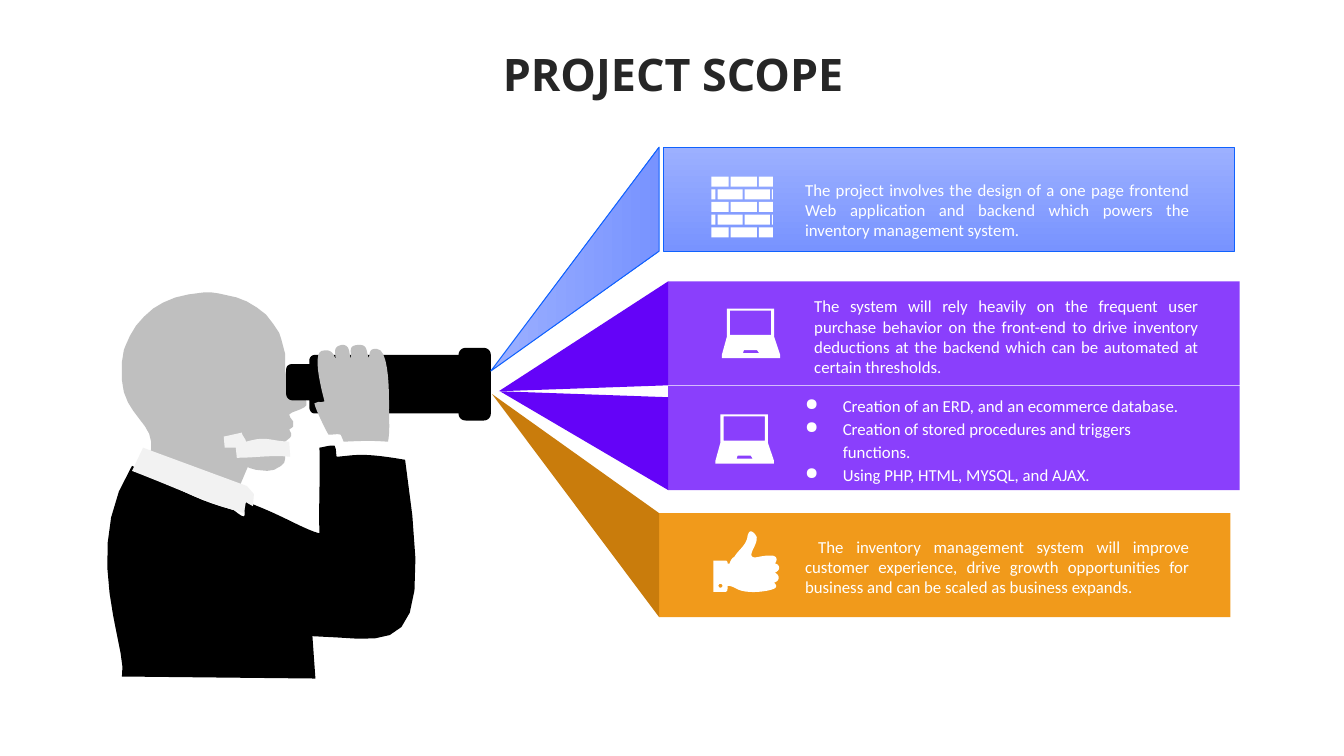
from dataclasses import dataclass

import pptx
import pptx.dml.color
import pptx.enum.shapes
import pptx.enum.text
import pptx.oxml
import pptx.oxml.ns
import pptx.util

Cm = pptx.util.Cm
Align = pptx.enum.text.PP_ALIGN
Anchor = pptx.enum.text.MSO_ANCHOR
GRID = Cm(0.0254)  # drawing unit of the icons and the figure


@dataclass(frozen=True)
class Theme:
    heading_font: str = "Open Sans"
    body_font: str = "Calibri"
    heading_size: int = 32
    body_size: int = 12
    ink: str = "262626"
    white: str = "FFFFFF"
    skin: str = "BFBFBF"
    suit: str = "000000"
    linen: str = "F2F2F2"
    blue: tuple = ("9CB0FF", "7893FF")
    blue_line: str = "0F62FE"
    violet: str = "8A3FFC"
    violet_dark: str = "6403F8"
    orange: str = "F19A1B"
    orange_dark: str = "C97C0C"


THEME = Theme()

# A point is (x, y); six numbers are two curve handles and an end point.
HEAD = [
    (110, 0), (117, 1), (135, 5), (145, 9), (155, 15), (164, 22), (171, 31), (177, 40),
    (179, 46), (183, 61), (183, 77), (184, 83), (188, 89), (192, 95), (197, 100), (203, 106),
    (204, 108), (204, 112), (202, 114), (198, 116), (190, 119), (187, 121), (188, 124),
    (191, 128), (191, 133), (190, 134), (187, 136), (189, 140), (189, 142), (188, 144),
    (183, 148), (182, 150), (182, 157), (183, 160), (183, 165), (182, 169), (179, 172),
    (172, 176), (165, 177), (154, 176), (147, 174), (146, 173), (137, 194), (127, 190),
    (48, 165), (48, 162), (50, 156), (50, 148), (48, 140), (44, 133), (38, 125), (32, 117),
    (27, 109), (23, 99), (21, 87), (21, 69), (22, 63), (23, 57), (25, 52), (29, 43), (35, 33),
    (43, 24), (52, 16), (62, 10), (74, 5), (87, 2), (102, 0)]
BINOCULARS = [
    (362, 55), (380, 55), (384, 55, 387, 58, 387, 62), (387, 120),
    (387, 124, 384, 127, 380, 127), (362, 127), (358, 127, 355, 124, 355, 120), (212, 120),
    (209, 120, 207, 117, 207, 114), (207, 107), (190, 107), (187, 107, 184, 104, 184, 101),
    (184, 76), (184, 73, 187, 71, 190, 71), (207, 71), (207, 67),
    (207, 65, 209, 62, 212, 62), (355, 62), (355, 58, 358, 55, 362, 55)]
COAT = [
    (31, 172), (-22, 255, 28, 356, 21, 381), (213, 383), (210, 341),
    (292, 343, 333, 373, 302, 166), (257, 158, 250, 162, 234, 163),
    (233, 156, 234, 157, 232, 152), (224, 152, 228, 152, 217, 154),
    (218, 183, 216, 210, 217, 239), (201, 235, 175, 218, 142, 207),
    (142, 221, 147, 228, 132, 216), (91, 205, 79, 195, 31, 172)]
COLLAR = [(31, 177), (42, 154), (145, 192), (152, 200), (151, 212), (144, 208), (142, 219),
          (101, 207, 68, 191, 31, 177)]
CUFF = [(123, 154), (122, 143), (140, 139), (140, 142, 144, 145, 144, 148),
        (166, 142, 165, 147, 187, 148), (188, 163), (170, 161, 153, 164, 135, 164), (134, 154)]
HAND = [
    (241, 148), (239, 143, 239, 143, 238, 141), (233, 140, 235, 141, 226, 141),
    (224, 138, 213, 116, 212, 110), (219, 107, 215, 110, 222, 108),
    (217, 89, 211, 61, 219, 58), (228, 56, 230, 59, 233, 66), (233, 59, 230, 54, 239, 52),
    (249, 51, 246, 65, 248, 65), (249, 58, 245, 53, 255, 52), (266, 51, 263, 60, 266, 65),
    (267, 61, 266, 55, 274, 56), (287, 56, 286, 106, 286, 116),
    (286, 128, 287, 137, 285, 148), (269, 147, 263, 147, 241, 148)]
LAPTOP = [
    [(22, 41), (21, 44), (37, 44), (35, 41)],
    [(8, 2), (8, 26), (49, 26), (49, 2)],
    [(5, 0), (52, 0), (52, 28), (58, 46), (58, 49), (0, 49), (0, 46), (5, 28)]]
THUMB = [
    [(7, 52), (6, 52, 5, 53, 5, 54), (5, 55, 6, 56, 7, 56), (8, 56, 9, 55, 9, 54),
     (9, 53, 8, 52, 7, 52)],
    [(37, 0), (39, 0, 42, 3, 43, 6), (44, 14, 32, 25, 41, 26), (47, 25, 50, 24, 57, 24),
     (63, 24, 64, 28, 61, 32), (65, 32, 68, 38, 61, 41), (68, 45, 64, 50, 60, 51),
     (63, 53, 63, 56, 60, 57), (53, 60, 35, 62, 25, 58), (21, 56, 18, 54, 14, 54), (14, 57),
     (14, 59, 13, 60, 12, 60), (0, 60), (0, 29), (12, 29), (13, 29, 14, 30, 14, 31), (14, 32),
     (16, 32), (17, 29, 18, 27, 21, 25), (25, 18, 33, 14, 34, 4), (35, 1, 36, 0, 37, 0)]]
BRICK_ROWS = [[(0, 17), (19, 45), (47, 61)], [(0, 4), (6, 31), (33, 58), (60, 61)]]
BRICKS = [[(left, top), (right, top), (right, top + 10), (left, top + 10)]
          for row, top in enumerate(12.6 * step for step in range(5))
          for left, right in BRICK_ROWS[row % 2]]


def color(value):
    return pptx.dml.color.RGBColor.from_string(value)


def paint(shape, fill, line=None, angle=0):
    """Fill with one colour, or with a pair as a gradient."""
    shape.shadow.inherit = False
    if isinstance(fill, tuple):
        shape.fill.gradient()
        shape.fill.gradient_angle = angle
        for stop, value in zip(shape.fill.gradient_stops, fill):
            stop.color.rgb = color(value)
    else:
        shape.fill.solid()
        shape.fill.fore_color.rgb = color(fill)
    if line:
        shape.line.color.rgb = color(line)
        shape.line.width = pptx.util.Pt(0.75)
    else:
        shape.line.fill.background()


def flatten(contour, steps=10):
    """Turn curves into short straight steps, in hundredths of a unit."""
    points = [contour[0]]
    for part in contour[1:]:
        if len(part) == 2:
            points.append(part)
            continue
        knots = [points[-1], part[:2], part[2:4], part[4:]]
        for step in range(1, steps + 1):
            t = step / steps
            weights = ((1 - t) ** 3, 3 * t * (1 - t) ** 2, 3 * t * t * (1 - t), t ** 3)
            points.append(tuple(sum(w * knot[axis] for w, knot in zip(weights, knots))
                                for axis in (0, 1)))
    return [(x * 100, y * 100) for x, y in points]


def add_outline(page, left, top, contours, fill, line=None, unit=GRID):
    paths = [flatten(contour) for contour in contours]
    builder = page.shapes.build_freeform(*paths[0][0], scale=unit / 100)
    for index, points in enumerate(paths):
        if index:
            builder.move_to(*points[0])
        builder.add_line_segments(points[1:], close=True)
    paint(builder.convert_to_shape(Cm(left), Cm(top)), fill, line)


def add_text(page, text, left, top, width, height, *, font=THEME.body_font,
             size=THEME.body_size, ink=THEME.white, bold=False, align=Align.JUSTIFY,
             anchor=Anchor.TOP, spacing=None, indent=0.0, bullet=None):
    box = page.shapes.add_textbox(Cm(left), Cm(top), Cm(width), Cm(height))
    frame = box.text_frame
    frame.word_wrap = True
    frame.vertical_anchor = anchor
    for index, content in enumerate(text.split("\n")):
        para = frame.add_paragraph() if index else frame.paragraphs[0]
        para.alignment = align
        para.line_spacing = spacing
        properties = para._p.get_or_add_pPr()
        if indent:
            properties.set("marL", str(Cm(indent) if bullet else 0))
            properties.set("indent", str(Cm(-indent if bullet else indent)))
        if bullet:
            names = pptx.oxml.ns.nsdecls("a")
            for markup in (f'<a:buClr {names}><a:srgbClr val="{ink}"/></a:buClr>',
                           f'<a:buChar {names} char="{bullet}"/>'):
                properties.append(pptx.oxml.parse_xml(markup))
        span = para.add_run()
        span.text = content
        span.font.name, span.font.size = font, pptx.util.Pt(size)
        span.font.bold, span.font.color.rgb = bold, color(ink)


def add_observer(page, left, top):
    for contour, fill in ((HEAD, THEME.skin), (BINOCULARS, THEME.suit), (COAT, THEME.suit),
                          (COLLAR, THEME.linen), (CUFF, THEME.linen), (HAND, THEME.skin)):
        add_outline(page, left, top, [contour], fill)


def add_banner(page, left, top, text, icon, icon_at, text_at, fill, ray_fill, tip,
               ray_gap=(0, 0), line=None, **text_format):
    """Draw a banner and the ray that reaches it; ray_gap is the ray's left and top inset."""
    width, height = 14.4, 2.62
    bar = page.shapes.add_shape(pptx.enum.shapes.MSO_SHAPE.RECTANGLE,
                                Cm(left), Cm(top), Cm(width), Cm(height))
    paint(bar, fill, line, angle=270)
    edge = left - ray_gap[0]
    ray = [(edge, top + height), tip, (edge, top + ray_gap[1])]
    add_outline(page, 0, 0, [ray], ray_fill, line, unit=Cm(1))
    add_outline(page, left + icon_at[0], top + icon_at[1], icon, THEME.white)
    add_text(page, text, left + text_at[0], top + text_at[1], 10.19, height - text_at[1],
             **text_format)


def main():
    deck = pptx.Presentation()
    deck.slide_width, deck.slide_height = Cm(33.87), Cm(19.05)
    page = deck.slides.add_slide(deck.slide_layouts[6])
    add_text(page, "PROJECT SCOPE", 0.89, 0.94, 32.16, 2.01, font=THEME.heading_font,
             size=THEME.heading_size, ink=THEME.ink, bold=True, align=Align.CENTER,
             anchor=Anchor.MIDDLE, spacing=0.9)
    add_observer(page, 2.54, 7.37)
    add_banner(page, 16.71, 3.71,
               "The project involves the design of a one page frontend Web application and "
               "backend which powers the inventory management system.",
               BRICKS, (1.22, 0.74), (3.33, 0.69), THEME.blue, THEME.blue, (12.37, 9.35),
               ray_gap=(0.1, 0), line=THEME.blue_line)
    add_banner(page, 16.84, 7.09,
               "The system will rely heavily on the frequent user purchase behavior on the "
               "front-end to drive inventory deductions at the backend which can be automated "
               "at certain thresholds.",
               LAPTOP, (1.35, 0.69), (3.43, 0.25), THEME.violet, THEME.violet_dark,
               (12.57, 9.86))
    add_banner(page, 16.84, 9.73,
               "Creation of an ERD, and an ecommerce database.\n"
               "Creation of stored procedures and triggers functions.\n"
               "Using PHP, HTML, MYSQL, and AJAX.",
               LAPTOP, (1.19, 0.71), (3.2, 0.03), THEME.violet, THEME.violet_dark,
               (12.6, 9.86), ray_gap=(0, 0.28), align=Align.LEFT, spacing=1.15,
               indent=0.95, bullet="●")
    add_banner(page, 16.61, 12.93,
               "The inventory management system will improve customer experience, drive growth "
               "opportunities for business and can be scaled as business expands.",
               THUMB, (1.37, 0.46), (3.43, 0.46), THEME.orange, THEME.orange_dark,
               (12.4, 9.93), indent=0.33)
    deck.save("out.pptx")


if __name__ == "__main__":
    main()
